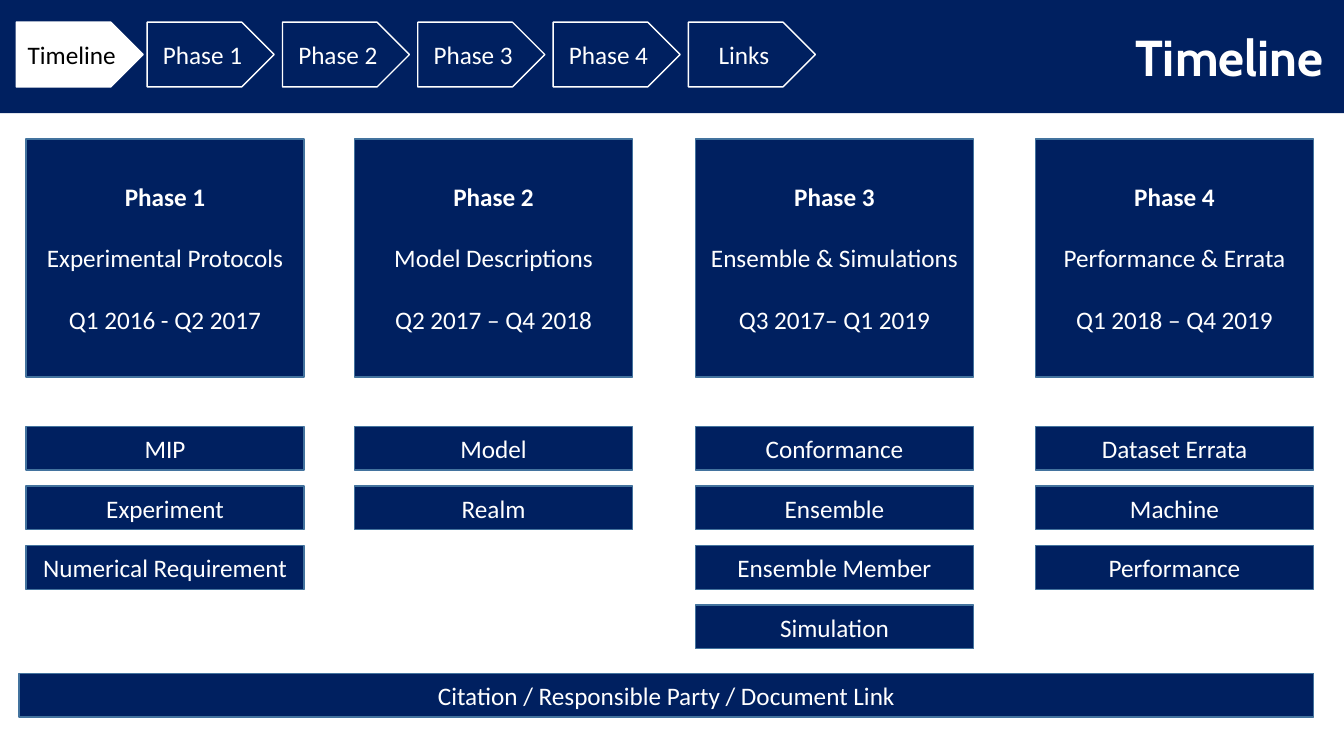
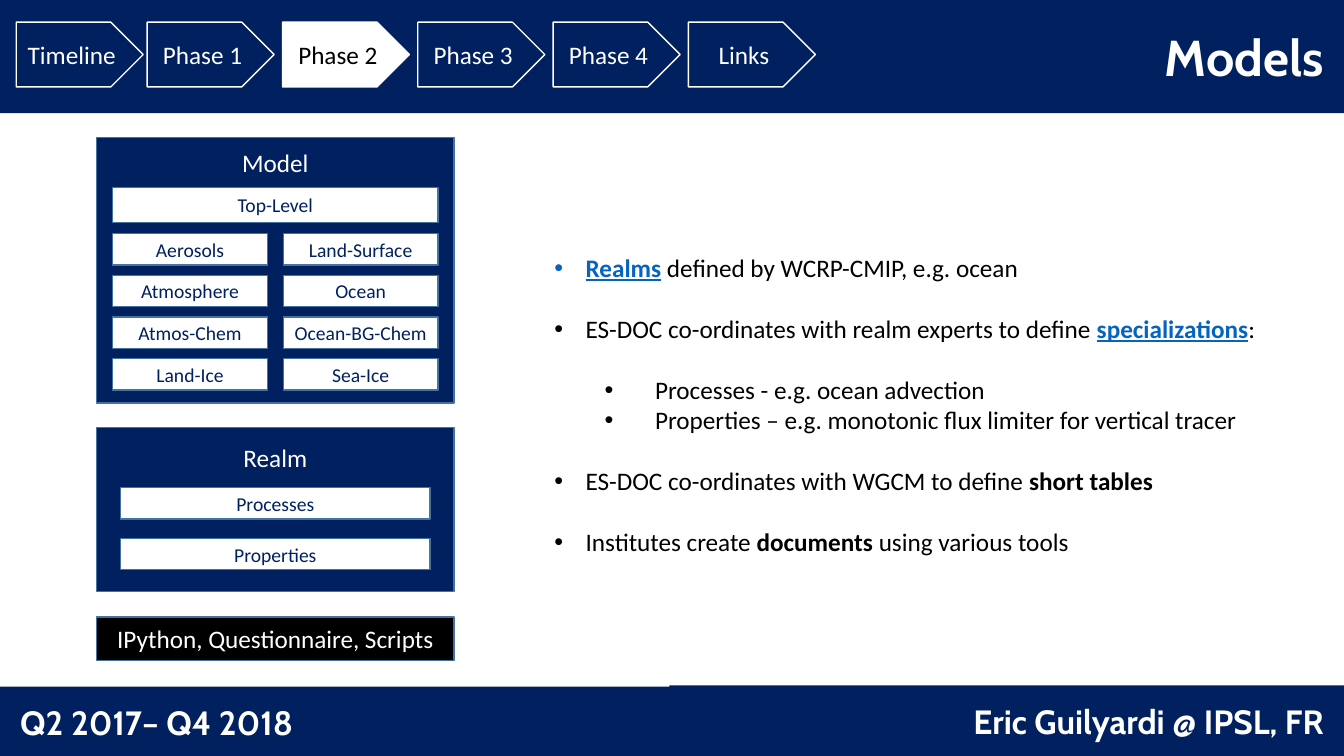
from lxml import etree
from pptx import Presentation
from pptx.dml.color import RGBColor
from pptx.enum.shapes import MSO_SHAPE
from pptx.enum.text import MSO_ANCHOR, PP_ALIGN
from pptx.oxml.ns import qn
from pptx.util import Cm, Pt

RECTANGLE, PENTAGON = MSO_SHAPE.RECTANGLE, MSO_SHAPE.PENTAGON
MIDDLE, TOP = MSO_ANCHOR.MIDDLE, MSO_ANCHOR.TOP
LEFT, CENTER, RIGHT = PP_ALIGN.LEFT, PP_ALIGN.CENTER, PP_ALIGN.RIGHT

WIDTH, HEIGHT = 33.87, 19.05
NAVY, EDGE, WHITE, BLACK, LINK = "002060", "43739E", "FFFFFF", "000000", "0563C1"

# Text formats
BODY = {"name": "Calibri", "size": Pt(18), "color": WHITE}
BODY_BOLD = {**BODY, "bold": True}
DARK = {**BODY, "color": BLACK}
DARK_BOLD = {**DARK, "bold": True}
LINKED = {**DARK_BOLD, "color": LINK, "underline": True}
CELL = {**BODY, "size": Pt(14), "color": NAVY}
TITLE = {"name": "Cabin", "size": Pt(36), "color": WHITE, "bold": True}
FOOTER = {**TITLE, "size": Pt(24)}
LINE_GAP = Pt(22)

NAVIGATION = [("Timeline", 0.41)] + [
    (label, 3.71 + 3.41 * index)
    for index, label in enumerate(["Phase 1", "Phase 2", "Phase 3", "Phase 4", "Links"])
]


def color(value):
    return RGBColor.from_string(value)


class Deck:
    """Holds the presentation, the shared style and the current slide."""

    def __init__(self):
        self.presentation = Presentation()
        self.presentation.slide_width = Cm(WIDTH)
        self.presentation.slide_height = Cm(HEIGHT)
        self.slide = None

    def new_slide(self, title, active):
        self.slide = self.presentation.slides.add_slide(self.presentation.slide_layouts[6])
        self.band(0, 0, WIDTH, 2.85, title, TITLE, RIGHT)
        for label, left in NAVIGATION:
            fill, style = (WHITE, DARK) if label == active else (NAVY, BODY)
            self.box(left, 0.56, 3.2, 1.63, label, style, fill, WHITE, PENTAGON)

    def fill_text(self, frame, paragraphs, align, anchor):
        """Fill a text frame from (runs, paragraph format, bullet) entries."""
        frame.word_wrap = True
        frame.vertical_anchor = anchor
        for index, (runs, layout, bullet) in enumerate(paragraphs):
            paragraph = frame.add_paragraph() if index else frame.paragraphs[0]
            for name, value in {"alignment": align, **layout}.items():
                setattr(paragraph, name, value)
            for text, style in runs:
                run = paragraph.add_run()
                run.text = text
                for name, value in style.items():
                    if name == "color":
                        run.font.color.rgb = color(value)
                    else:
                        setattr(run.font, name, value)
            if bullet:
                self.bullet(paragraph, *bullet)

    def bullet(self, paragraph, margin, hanging):
        properties = paragraph._p.get_or_add_pPr()
        properties.set("marL", str(Cm(margin)))
        properties.set("indent", str(-Cm(hanging)))
        etree.SubElement(properties, qn("a:buFont")).set("typeface", "Arial")
        etree.SubElement(properties, qn("a:buChar")).set("char", "•")

    def shape(self, left, top, width, height, fill, line=None, kind=RECTANGLE):
        shape = self.slide.shapes.add_shape(kind, Cm(left), Cm(top), Cm(width), Cm(height))
        shape.shadow.inherit = False
        shape.fill.solid()
        shape.fill.fore_color.rgb = color(fill)
        if line:
            shape.line.color.rgb = color(line)
            shape.line.width = Pt(1)
        else:
            shape.line.fill.background()
        return shape

    def box(self, left, top, width, height, text, style=BODY, fill=NAVY, line=EDGE, kind=RECTANGLE):
        shape = self.shape(left, top, width, height, fill, line, kind)
        self.fill_text(shape.text_frame, [([(text, style)], {}, None)], CENTER, MIDDLE)

    def cell(self, left, top, width, text, height=0.79):
        self.box(left, top, width, height, text, CELL, WHITE)

    def band(self, left, top, width, height, text, style, align):
        frame = self.shape(left, top, width, height, NAVY).text_frame
        frame.margin_right = Cm(0.51)
        if align == LEFT:
            frame.margin_left = Cm(0.51)
        self.fill_text(frame, [([(text, style)], {}, None)], align, MIDDLE)

    def card(self, left, top, width, height, heading, lines):
        shape = self.shape(left, top, width, height, NAVY, EDGE)
        paragraphs = [([(heading, BODY_BOLD)], {}, None)]
        paragraphs += [([(line, BODY)], {"space_before": LINE_GAP}, None) for line in lines]
        self.fill_text(shape.text_frame, paragraphs, CENTER, MIDDLE)

    def text(self, left, top, width, height, paragraphs, align=LEFT):
        box = self.slide.shapes.add_textbox(Cm(left), Cm(top), Cm(width), Cm(height))
        self.fill_text(box.text_frame, paragraphs, align, TOP)

    def panel(self, left, top, width, height, heading, heading_top):
        self.shape(left, top, width, height, NAVY, EDGE)
        self.text(left, heading_top, width, 1.02, [([(heading, BODY)], {}, None)], CENTER)


def timeline_slide(deck):
    deck.new_slide("Timeline", "Timeline")
    phases = [
        (0.66, "Phase 1", ["Experimental Protocols", "Q1 2016 - Q2 2017"],
         ["MIP", "Experiment", "Numerical Requirement"]),
        (8.94, "Phase 2", ["Model Descriptions", "Q2 2017 – Q4 2018"],
         ["Model", "Realm"]),
        (17.53, "Phase 3", ["Ensemble & Simulations", "Q3 2017– Q1 2019"],
         ["Conformance", "Ensemble", "Ensemble Member", "Simulation"]),
        (26.1, "Phase 4", ["Performance & Errata", "Q1 2018 – Q4 2019"],
         ["Dataset Errata", "Machine", "Performance"]),
    ]
    for left, heading, lines, documents in phases:
        deck.card(left, 3.5, 7, 6, heading, lines)
        for row, document in enumerate(documents):
            deck.box(left, 10.75 + 1.5 * row, 7, 1.1, document)
    deck.box(0.48, 16.97, 32.63, 1.1, "Citation / Responsible Party / Document Link")


def models_slide(deck):
    deck.new_slide("Models", "Phase 2")

    # Model panel with its grid of realms
    deck.panel(2.44, 3.46, 9, 6.7, "Model", 3.58)
    deck.cell(2.84, 4.72, 8.2, "Top-Level", 0.89)
    columns = [
        (2.84, ["Aerosols", "Atmosphere", "Atmos-Chem", "Land-Ice"]),
        (7.14, ["Land-Surface", "Ocean", "Ocean-BG-Chem", "Sea-Ice"]),
    ]
    for left, realms in columns:
        for row, realm in enumerate(realms):
            deck.cell(left, 5.89 + 1.05 * row, 3.9, realm)

    # Realm panel and tools
    deck.panel(2.44, 10.78, 9, 4.12, "Realm", 11.02)
    for row, part in enumerate(["Processes", "Properties"]):
        deck.cell(3.04, 12.29 + 1.28 * row, 7.8, part)
    deck.box(2.44, 15.55, 9, 1.1, "IPython, Questionnaire, Scripts", fill=BLACK)

    # Explanation
    gap, item, sub_item = {"space_before": LINE_GAP}, (0.79, 0.79), (2.54, 1.27)
    deck.text(13.72, 6.23, 19.43, 7.94, [
        ([("Realms", LINKED), (" defined by WCRP-CMIP, e.g. ocean", DARK)], {}, item),
        ([("ES-DOC co-ordinates with realm experts to define ", DARK),
          ("specializations", LINKED), (":", DARK)], gap, item),
        ([("Processes - e.g. ocean advection", DARK)], gap, sub_item),
        ([("Properties – e.g. monotonic flux limiter for vertical tracer", DARK)], {}, sub_item),
        ([("ES-DOC co-ordinates with WGCM to define ", DARK),
          ("short tables", DARK_BOLD)], gap, item),
        ([("Institutes create ", DARK), ("documents ", DARK_BOLD),
          ("using various tools", DARK)], gap, item),
    ])

    # Footer
    deck.band(16.87, 17.27, 17, 1.78, "Eric Guilyardi @ IPSL, FR", FOOTER, RIGHT)
    deck.band(0, 17.3, 17, 1.78, "Q2 2017– Q4 2018", FOOTER, LEFT)


def main():
    deck = Deck()
    timeline_slide(deck)
    models_slide(deck)
    deck.presentation.save("out.pptx")


if __name__ == "__main__":
    main()
